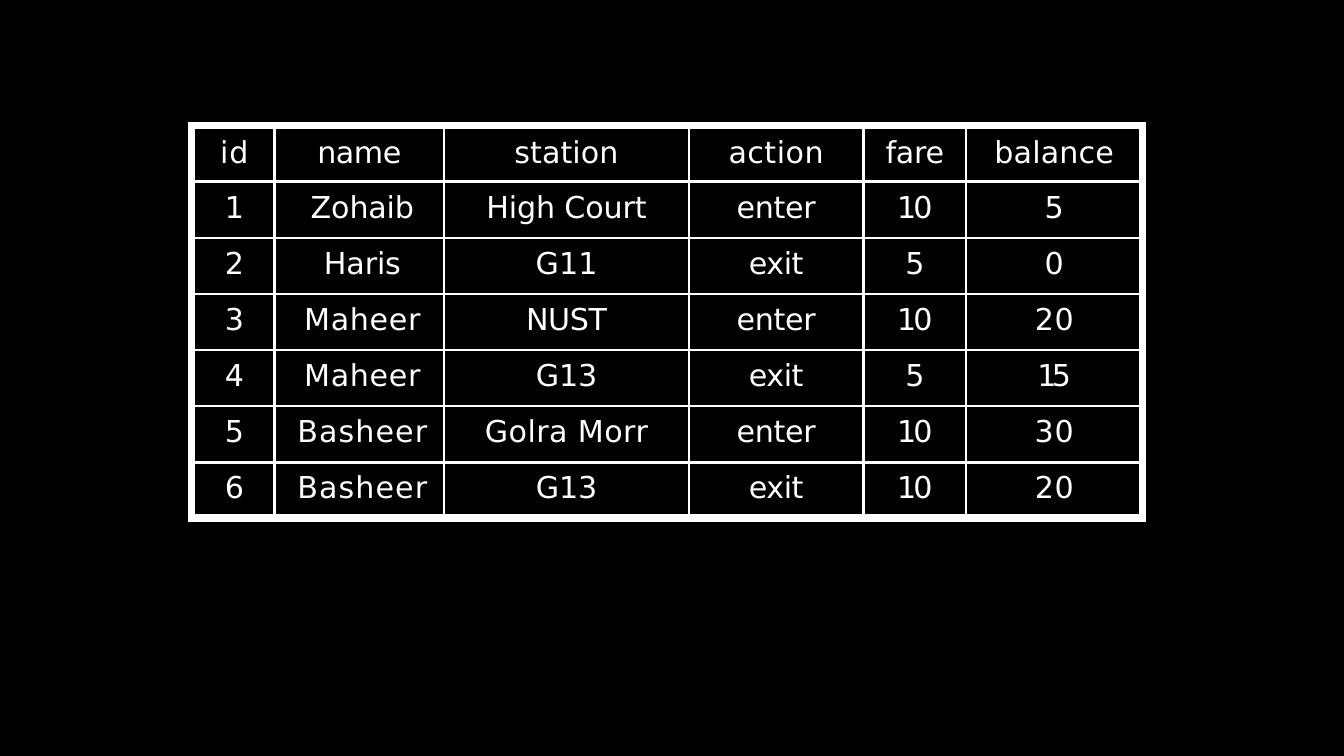
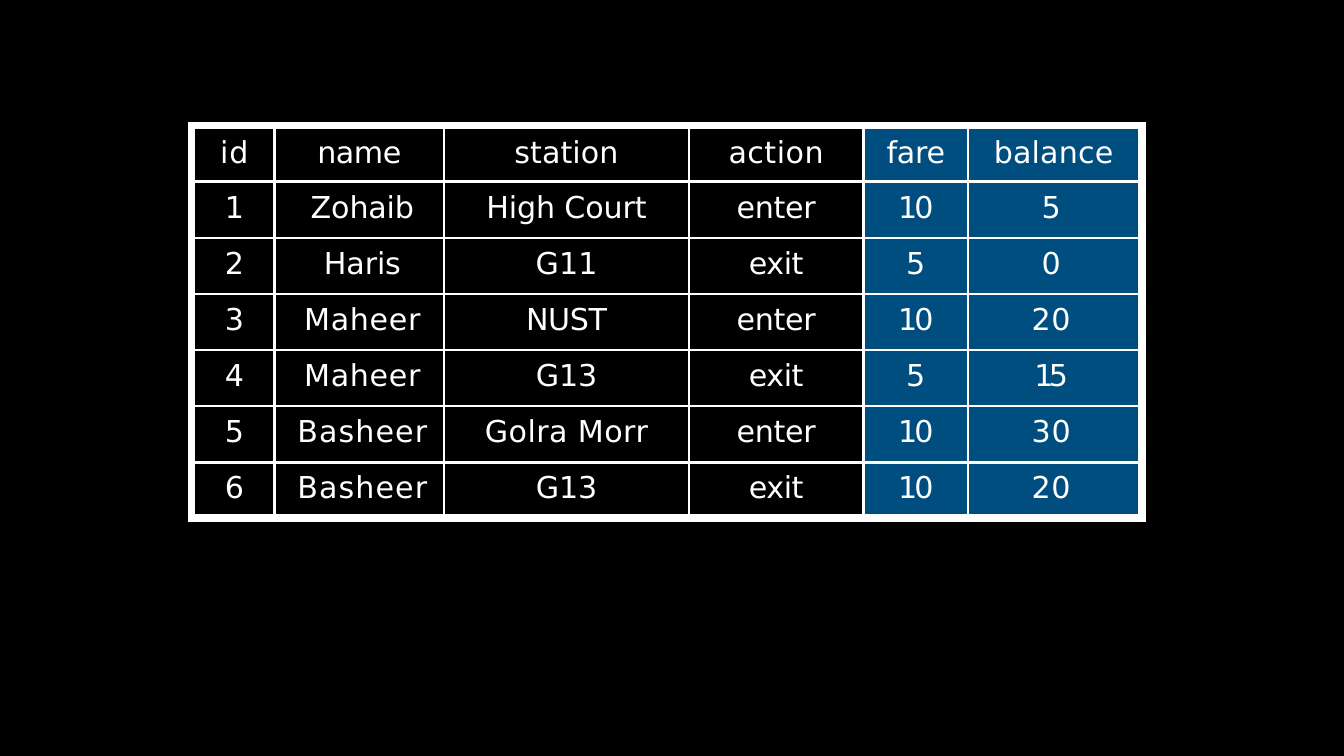
from lxml.etree import SubElement
from pptx import Presentation
from pptx.dml.color import RGBColor
from pptx.enum.shapes import MSO_CONNECTOR
from pptx.enum.text import MSO_ANCHOR, PP_ALIGN
from pptx.oxml.ns import qn
from pptx.util import Inches, Pt

BLACK = RGBColor(0x00, 0x00, 0x00)
WHITE = RGBColor(0xFF, 0xFF, 0xFF)
BLUE = RGBColor(0x00, 0x4D, 0x7F)
FONT = "DejaVu Sans"
TEXT_SIZE = 35.5
GRID_WIDTH = 3
RAIL_WIDTH = 8.25
PLAIN_TABLE_STYLE = "{2D5ABB26-0587-4C30-8999-92F81FD0307C}"

TABLE_LEFT, TABLE_TOP = 3.08, 2
TABLE_BOTTOM = 8.53
RAILS = (3.14, 18.7)
STRIP = 0.11
ROW_HEIGHTS = [STRIP, 0.86] + [0.92] * 5 + [0.86, STRIP]
TOP_MARGINS = [0.11] + [0.14] * 4 + [0.13] * 2

TRIPS = [
    ("id", "name", "station", "action", "fare", "balance"),
    ("1", "Zohaib", "High Court", "enter", "10", "5"),
    ("2", "Haris", "G11", "exit", "5", "0"),
    ("3", "Maheer", "NUST", "enter", "10", "20"),
    ("4", "Maheer", "G13", "exit", "5", "15"),
    ("5", "Basheer", "Golra Morr", "enter", "10", "30"),
    ("6", "Basheer", "G13", "exit", "10", "20"),
]
# Letter spacing in hundredths of a point
LETTER_SPACING = {
    "id": 100, "name": -50, "station": 10, "action": 60, "fare": -30, "balance": 20,
    "Zohaib": -20, "Haris": -20, "Maheer": 80, "Basheer": 130,
    "High Court": -20, "G11": 20, "NUST": -50, "G13": -10, "Golra Morr": 50,
    "enter": -40, "exit": -50, "10": -350, "15": -540, "20": 70, "30": 90,
}


class TripDeck:
    def __init__(self):
        self.deck = Presentation()
        self.deck.slide_width = Inches(21.99)
        self.deck.slide_height = Inches(12.37)
        background = self.deck.slide_master.background.fill
        background.solid()
        background.fore_color.rgb = BLACK
        self.slide = None

    def add_slide(self):
        self.slide = self.deck.slides.add_slide(self.deck.slide_layouts[6])

    def fill_cell(self, cell, color):
        cell.fill.solid()
        cell.fill.fore_color.rgb = color

    def empty_cell(self, cell):
        """White strip cell, with tiny text so that its row stays thin."""
        cell.margin_left = cell.margin_right = cell.margin_top = cell.margin_bottom = 0
        paragraph = cell.text_frame.paragraphs[0]
        SubElement(paragraph._p, qn("a:endParaRPr"), sz="200")
        self.fill_cell(cell, WHITE)

    def draw_grid(self, cell, sides):
        properties = cell._tc.get_or_add_tcPr()
        for side in sides:
            line = SubElement(properties, qn(f"a:ln{side}"), w=str(Pt(GRID_WIDTH)))
            fill = SubElement(line, qn("a:solidFill"))
            SubElement(fill, qn("a:srgbClr"), val=str(WHITE))

    def text_cell(self, cell, text, color, margins):
        cell.margin_left, cell.margin_top, cell.margin_right = map(Inches, margins)
        cell.margin_bottom = 0
        cell.vertical_anchor = MSO_ANCHOR.TOP
        cell.text_frame.text = text
        paragraph = cell.text_frame.paragraphs[0]
        paragraph.alignment = PP_ALIGN.CENTER
        span = paragraph.runs[0]
        span.font.name = FONT
        span.font.size = Pt(TEXT_SIZE)
        span.font.color.rgb = WHITE
        span._r.get_or_add_rPr().set("spc", str(LETTER_SPACING.get(text, 0)))
        self.fill_cell(cell, color)

    def trip_table(self, widths, highlighted, header_inset, balance_inset):
        """Insets are the right margins of the balance column."""
        frame = self.slide.shapes.add_table(
            len(ROW_HEIGHTS), len(widths), Inches(TABLE_LEFT), Inches(TABLE_TOP),
            Inches(sum(widths)), Inches(sum(ROW_HEIGHTS)))
        table = frame.table
        table.first_row = table.horz_banding = False
        table._tbl.tblPr.find(qn("a:tableStyleId")).text = PLAIN_TABLE_STYLE
        for column, width in zip(table.columns, widths):
            column.width = Inches(width)
        for row, height in zip(table.rows, ROW_HEIGHTS):
            row.height = Inches(height)

        last_row, last_column = len(TRIPS) - 1, len(TRIPS[0]) - 1
        for r in range(len(ROW_HEIGHTS)):
            for c in range(len(widths)):
                cell = table.cell(r, c)
                trip = r - 1
                if not 0 <= trip <= last_row or c > last_column:
                    self.empty_cell(cell)
                    continue
                inner = (("L", c > 0), ("R", c < last_column),
                         ("T", trip > 0), ("B", trip < last_row))
                self.draw_grid(cell, [side for side, shown in inner if shown])
                left = 0.1 if c == 0 or (c == 1 and trip > 0) else 0
                right = 0
                if c == last_column:
                    right = balance_inset if trip else header_inset
                color = BLUE if c in highlighted else BLACK
                self.text_cell(cell, TRIPS[trip][c], color,
                               (left, TOP_MARGINS[trip], right))
        if len(widths) > last_column + 1:
            for r in (0, len(ROW_HEIGHTS) - 1):
                table.cell(r, last_column).merge(table.cell(r, len(widths) - 1))

    def rail(self, x):
        """Thick vertical edge of the table."""
        line = self.slide.shapes.add_connector(
            MSO_CONNECTOR.STRAIGHT, Inches(x), Inches(TABLE_TOP),
            Inches(x), Inches(TABLE_BOTTOM))
        line.line.color.rgb = WHITE
        line.line.width = Pt(RAIL_WIDTH)
        SubElement(line._element.spPr, qn("a:effectLst"))


def main():
    trips = TripDeck()
    shared_widths = [1.41, 2.78, 4, 2.86]
    versions = [
        (shared_widths + [1.68, 2.94], (), 0.06, 0.06),
        (shared_widths + [1.71, 2.8, STRIP], (4, 5), 0, 0.08),
    ]
    for version in versions:
        trips.add_slide()
        trips.trip_table(*version)
        for x in RAILS:
            trips.rail(x)
    trips.deck.save("out.pptx")


if __name__ == "__main__":
    main()
